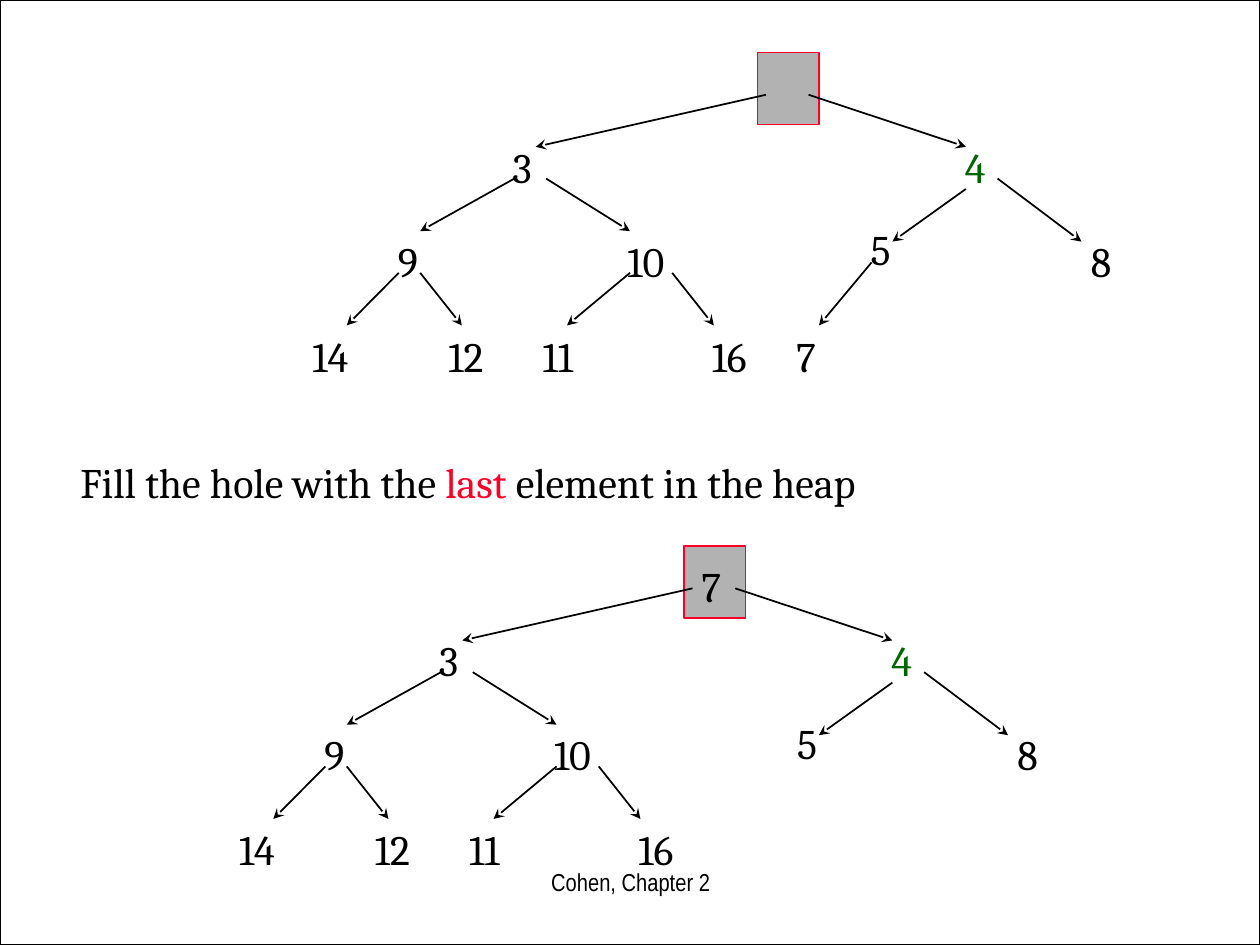
from typing import NamedTuple

import pptx
import pptx.dml.color
import pptx.enum.shapes
import pptx.enum.text
import pptx.oxml
import pptx.oxml.ns
import pptx.util

Cm = pptx.util.Cm
Pt = pptx.util.Pt
BLACK, GREEN, RED, GREY, WHITE = "000000", "006600", "FC0128", "B2B2B2", "FFFFFF"
LEVEL_2, LEVEL_3, LEVEL_4 = 2.72, 4.62, 6.53
BOX_HEIGHT = 1.27
BODY = {"name": "Cambria", "size": Pt(24)}
FOOTER = {"name": "Arial Narrow", "size": Pt(14)}


class Node(NamedTuple):
    label: str
    left: float
    top: float
    color: str = BLACK


class Edge(NamedTuple):
    x1: float
    y1: float
    x2: float
    y2: float


class Run(NamedTuple):
    text: str
    color: str = BLACK


# Both heaps share these nodes and edges; positions are in cm.
NODES = [
    Node("3", 10.08, LEVEL_2), Node("4", 19.2, LEVEL_2, GREEN),
    Node("9", 7.77, LEVEL_3), Node("10", 12.4, LEVEL_3),
    Node("5", 17.3, 4.39), Node("8", 21.74, LEVEL_3),
    Node("14", 6.05, LEVEL_4), Node("12", 8.79, LEVEL_4),
    Node("11", 10.69, LEVEL_4), Node("16", 14.1, LEVEL_4),
]
EDGES = [
    Edge(15.44, 1.91, 10.8, 2.96), Edge(16.3, 1.91, 19.47, 2.96),
    Edge(10.37, 3.6, 8.47, 4.66), Edge(11.01, 3.6, 12.7, 4.66),
    Edge(8.04, 5.5, 6.99, 6.56), Edge(8.47, 5.5, 9.31, 6.56),
    Edge(12.7, 5.5, 11.43, 6.56), Edge(13.55, 5.5, 14.39, 6.56),
    Edge(19.47, 3.81, 17.99, 4.87), Edge(20.11, 3.6, 21.8, 4.87),
]
LAST_NODE = Node("7", 15.8, LEVEL_4)
LAST_EDGE = Edge(17.57, 5.29, 16.51, 6.56)
NEW_ROOT = Node("7", 15.37, 1.23)


def rgb(color: str) -> pptx.dml.color.RGBColor:
    return pptx.dml.color.RGBColor.from_string(color)


def add_box(shapes, left: float, top: float, width: float, height: float,
            fill: str, line: str, weight: float) -> None:
    sp = shapes.add_shape(pptx.enum.shapes.MSO_SHAPE.RECTANGLE,
                          Cm(left), Cm(top), Cm(width), Cm(height))
    sp.shadow.inherit = False
    sp.fill.solid()
    sp.fill.fore_color.rgb = rgb(fill)
    sp.line.color.rgb = rgb(line)
    sp.line.width = Pt(weight)


def add_text(shapes, left: float, top: float, width: float, runs: list[Run],
             font: dict = BODY, wrap: bool = False):
    """Add a one-line text box and return its paragraph."""
    tf = shapes.add_textbox(Cm(left), Cm(top), Cm(width), Cm(BOX_HEIGHT)).text_frame
    tf.word_wrap = wrap
    if not wrap:
        tf.auto_size = pptx.enum.text.MSO_AUTO_SIZE.SHAPE_TO_FIT_TEXT
    p = tf.paragraphs[0]
    for run in runs:
        r = p.add_run()
        r.text = run.text
        for key, value in font.items():
            setattr(r.font, key, value)
        r.font.color.rgb = rgb(run.color)
    return p


def add_arrow(shapes, edge: Edge, dx: float, dy: float) -> None:
    cxn = shapes.add_connector(pptx.enum.shapes.MSO_CONNECTOR.STRAIGHT,
                               Cm(edge.x1 + dx), Cm(edge.y1 + dy),
                               Cm(edge.x2 + dx), Cm(edge.y2 + dy))
    cxn.line.color.rgb = rgb(BLACK)
    cxn.line.width = Pt(1)
    ns = pptx.oxml.ns.nsdecls("a")
    cxn.line._get_or_add_ln().append(
        pptx.oxml.parse_xml(f'<a:tailEnd {ns} type="stealth"/>'))
    cxn._element.spPr.append(pptx.oxml.parse_xml(f"<a:effectLst {ns}/>"))


def add_heap(shapes, nodes: list[Node], edges: list[Edge],
             dx: float = 0, dy: float = 0) -> None:
    """Draw the root square, then the arrows and labels, shifted by dx, dy."""
    add_box(shapes, 15.27 + dx, 1.06 + dy, 1.24, 1.45, GREY, RED, 1)
    for edge in edges:
        add_arrow(shapes, edge, dx, dy)
    for node in nodes:
        width = 0.99 if len(node.label) == 1 else 1.47
        add_text(shapes, node.left + dx, node.top + dy, width,
                 [Run(node.label, node.color)])


def main() -> None:
    prs = pptx.Presentation()
    prs.slide_width, prs.slide_height = Cm(25.4), Cm(19.05)
    s = prs.slides.add_slide(prs.slide_layouts[6])
    add_box(s.shapes, 0, 0, 25.4, 19.05, WHITE, BLACK, 0.75)
    add_heap(s.shapes.add_group_shape().shapes,
             NODES + [LAST_NODE], EDGES + [LAST_EDGE])
    add_heap(s.shapes, NODES + [NEW_ROOT], EDGES, dx=-1.48, dy=9.95)
    add_text(s.shapes, 1.37, 9.07, 18.72,
             [Run("Fill the hole with the "), Run("last", RED),
              Run(" element in the heap")])
    p = add_text(s.shapes, 8.69, 17.35, 8.05, [Run("Cohen, Chapter 2")],
                 FOOTER, wrap=True)
    p.alignment = pptx.enum.text.PP_ALIGN.CENTER
    prs.save("out.pptx")


if __name__ == "__main__":
    main()
